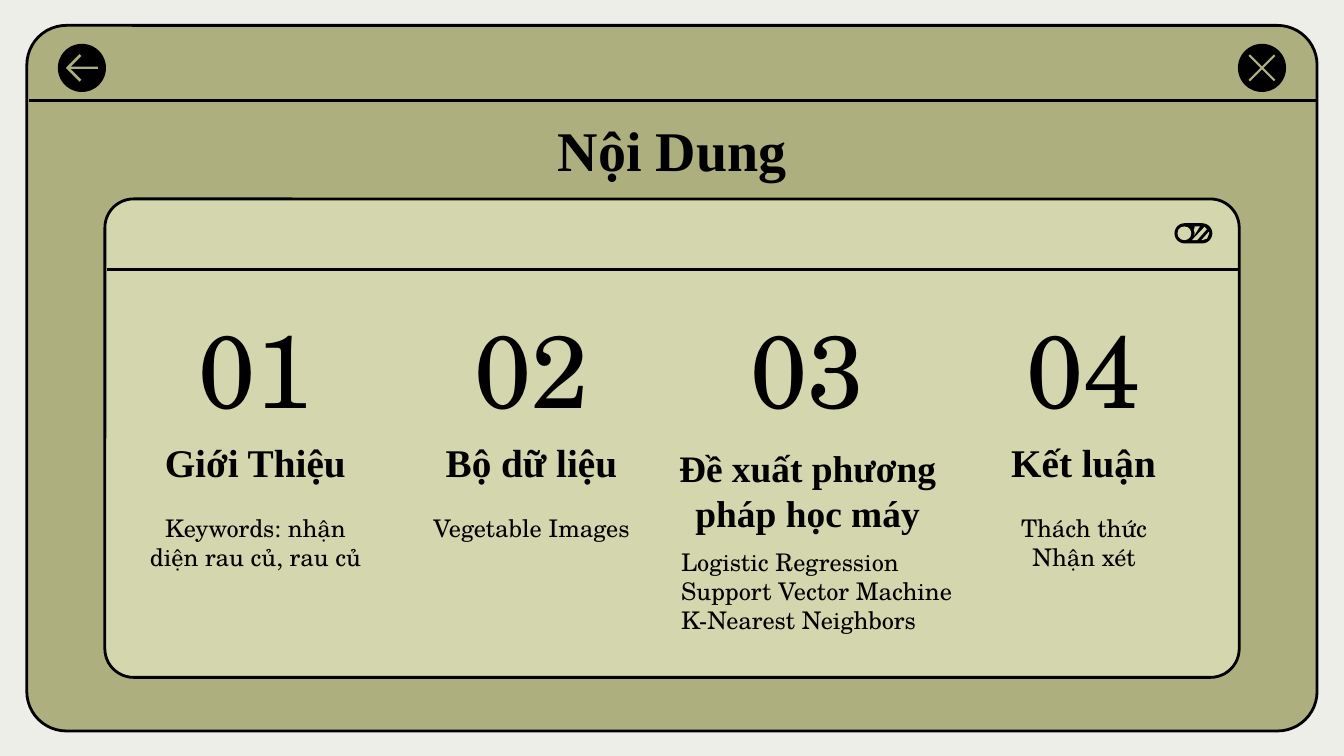
from lxml import etree
from pptx import Presentation
from pptx.dml.color import RGBColor
from pptx.enum import shapes, text
from pptx.oxml.ns import qn
from pptx.util import Pt

COLORS = {"page": "EEEEE9", "window": "ADAF7E", "panel": "D4D7AD", "ink": "000000"}
SERIF = "Times New Roman"
SCHOLA = "TeX Gyre Schola"
SHAPE = shapes.MSO_SHAPE
CENTER, LEFT = text.PP_ALIGN.CENTER, text.PP_ALIGN.LEFT
TOP, MIDDLE, BOTTOM = (text.MSO_ANCHOR.TOP, text.MSO_ANCHOR.MIDDLE,
                       text.MSO_ANCHOR.BOTTOM)

presentation = Presentation()
presentation.slide_width, presentation.slide_height = Pt(720), Pt(405)
slide = presentation.slides.add_slide(presentation.slide_layouts[5])
slide.background.fill.solid()
slide.background.fill.fore_color.rgb = RGBColor.from_string(COLORS["page"])


def style_shape(shape, fill, line_width=0):
    """Give a flat fill and, if a width is set, an ink outline."""
    shape.shadow.inherit = False
    shape.fill.solid()
    shape.fill.fore_color.rgb = RGBColor.from_string(COLORS[fill])
    if line_width:
        shape.line.color.rgb = RGBColor.from_string(COLORS["ink"])
        shape.line.width = Pt(line_width)
    else:
        shape.line.fill.background()


def write_text(shape, box, lines, font, size, bold=False, anchor=MIDDLE, align=CENTER):
    """Place a text shape and fill it, one paragraph a line."""
    shape.left, shape.top, shape.width, shape.height = map(Pt, box)
    frame = shape.text_frame
    frame.word_wrap = True
    frame.auto_size = text.MSO_AUTO_SIZE.NONE
    frame.vertical_anchor = anchor
    frame.margin_left = frame.margin_right = Pt(7.2)
    frame.margin_top = frame.margin_bottom = Pt(7.2)
    for index, line in enumerate(lines):
        paragraph = frame.add_paragraph() if index else frame.paragraphs[0]
        paragraph.alignment = align
        run = paragraph.add_run()
        run.text = line
        run.font.name, run.font.size, run.font.bold = font, Pt(size), bold
        run.font.color.rgb = RGBColor.from_string(COLORS["ink"])


# Window and inner panel, each with a bar line under its top
for left, top, width, height, bar, fill in [
    (14.4, 13.6, 691.2, 378, 53.8, "window"),
    (56.2, 106.6, 607.7, 256.3, 144.2, "panel"),
]:
    frame_shape = slide.shapes.add_shape(
        SHAPE.ROUNDED_RECTANGLE, Pt(left), Pt(top), Pt(width), Pt(height))
    frame_shape.adjustments[0] = 0.056 if fill == "window" else 0.06
    style_shape(frame_shape, fill, 1.5)
    bar_line = slide.shapes.add_connector(
        shapes.MSO_CONNECTOR.STRAIGHT, Pt(left + 1), Pt(bar), Pt(left + width), Pt(bar))
    bar_line.line.color.rgb = RGBColor.from_string(COLORS["ink"])
    bar_line.line.width = Pt(1.5)
    etree.SubElement(bar_line.element.spPr, qn("a:effectLst"))

# Title, brought in front of the window
title = slide.shapes.title
title.element.getparent().append(title.element)
write_text(title, (56.2, 61.9, 607.7, 44.6), ["Nội Dung"], SERIF, 30, bold=True)
title.text_frame.paragraphs[0].line_spacing = 0.7

# Four sections
column_left, column_step, column_width = 67.7, 147.9, 138.2
sections = [
    ("Giới Thiệu", ["Keywords: nhận diện rau củ, rau củ"]),
    ("Bộ dữ liệu", ["Vegetable Images"]),
    ("Đề xuất phương pháp học máy",
     ["Logistic Regression", "Support Vector Machine", "K-Nearest Neighbors"]),
    ("Kết luận", ["Thách thức", "Nhận xét"]),
]
for index, (heading, details) in enumerate(sections):
    left = column_left + index * column_step
    heading_box, heading_size = (left, 235.4, column_width, 31.7), 21
    details_box, details_align = (left, 267.8, column_width, 67), CENTER
    if index == 2:  # long heading and left-aligned list
        heading_box, heading_size = (343.4, 231.1, 178.6, 62.6), 20
        details_box, details_align = (357.8, 285.8, 188.6, 67), LEFT
    elif index == 3:
        details_box = (515.5, 267.8, 130.3, 67)
    number_box = (left, 167.8, column_width, 57.8)
    for box, lines, font, size, bold, anchor, align in [
        (number_box, [f"{index + 1:02}"], SCHOLA, 55, False, MIDDLE, CENTER),
        (heading_box, [heading], SERIF, heading_size, True, BOTTOM, CENTER),
        (details_box, details, SCHOLA, 13, False, TOP, details_align),
    ]:
        textbox = slide.shapes.add_textbox(*map(Pt, box))
        write_text(textbox, box, lines, font, size, bold, anchor, align)

# Round buttons and toggle body
for kind, left, top, width, height, fill in [
    (SHAPE.OVAL, 31, 23.5, 25.8, 25.8, "ink"),
    (SHAPE.OVAL, 663.2, 23.5, 25.8, 25.8, "ink"),
    (SHAPE.ROUNDED_RECTANGLE, 629.2, 119.6, 20.3, 10.8, "ink"),
    (SHAPE.OVAL, 630.8, 121.3, 7.4, 7.4, "panel"),
]:
    shape = slide.shapes.add_shape(kind, Pt(left), Pt(top), Pt(width), Pt(height))
    if kind == SHAPE.ROUNDED_RECTANGLE:
        shape.adjustments[0] = 0.5
    style_shape(shape, fill)

# Button signs and toggle stripes, as outlines around a centre
arrow = [(-1.3, -7.4), (-8.6, 0), (-1.3, 7.4), (-0.3, 6.4), (-6, 0.6),
         (8.6, 0.6), (8.6, -0.6), (-6, -0.6), (-0.3, -6.4)]
cross = [(-6.4, -7.2), (-7.2, -6.4), (-0.8, 0), (-7.2, 6.4), (-6.4, 7.2), (0, 0.8),
         (6.4, 7.2), (7.2, 6.4), (0.8, 0), (7.2, -6.4), (6.4, -7.2), (0, -0.8)]
stripes = [
    [(2.8, -3.7), (0.1, -3.7), (-0.4, -1.7), (0, 0), (-0.3, 1.3)],
    [(5.3, -3.4), (6.6, -2.2), (1.4, 3.7), (-1.4, 3.7)],
    [(7.7, -0.9), (7.8, 0), (6.7, 2.8), (4.1, 3.7), (3.6, 3.7)],
]
signs = [(43.9, 36.4, arrow, "window"), (676.1, 36.4, cross, "window")]
signs += [(640, 125, stripe, "panel") for stripe in stripes]
for center_x, center_y, outline, fill in signs:
    points = [((center_x + x) * 100, (center_y + y) * 100) for x, y in outline]
    builder = slide.shapes.build_freeform(*points[0], scale=Pt(1) / 100)
    builder.add_line_segments(points[1:], close=True)
    style_shape(builder.convert_to_shape(), fill)

presentation.save("out.pptx")
